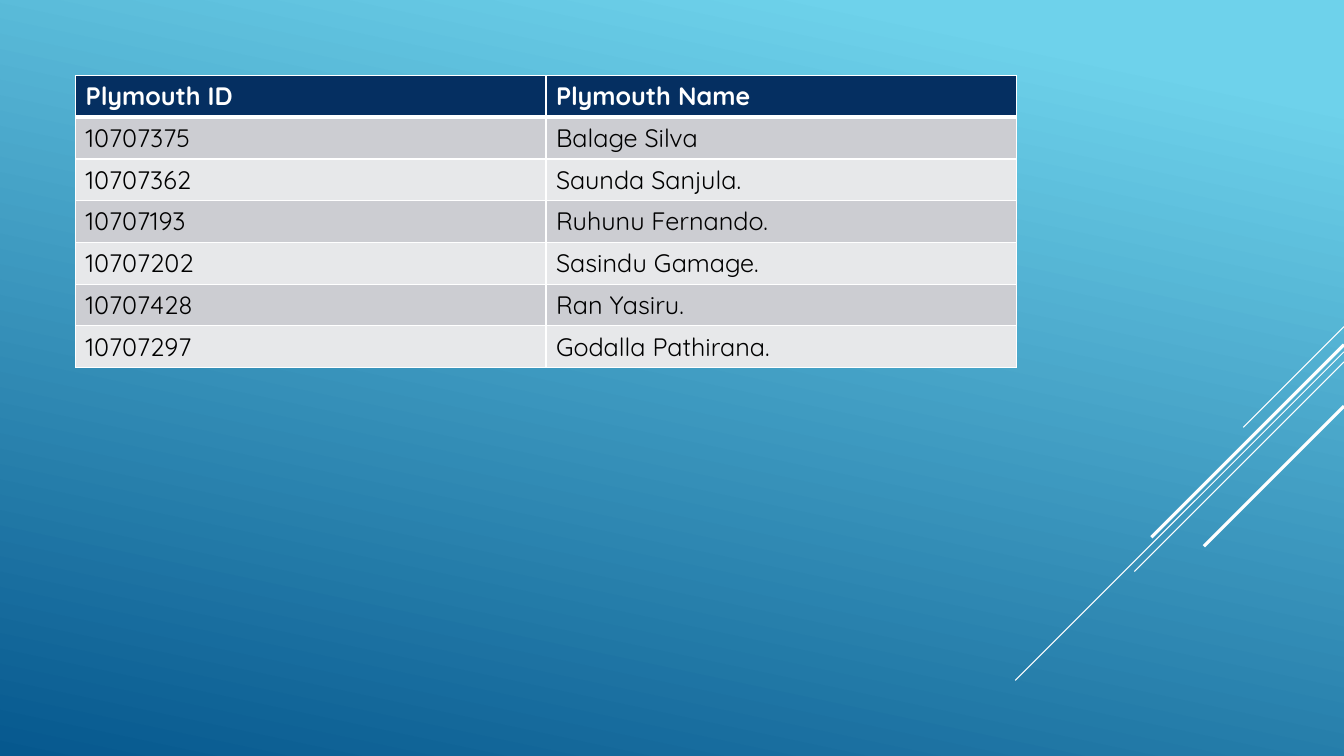
from lxml.etree import SubElement
from pptx import Presentation
from pptx.dml.color import RGBColor
from pptx.enum.shapes import MSO_CONNECTOR
from pptx.oxml.ns import qn
from pptx.util import Inches, Pt

MEMBERS = [
    ("Plymouth ID", "Plymouth Name"),
    ("10707375", "Balage Silva"),
    ("10707362", "Saunda Sanjula."),
    ("10707193", "Ruhunu Fernando."),
    ("10707202", "Sasindu Gamage."),
    ("10707428", "Ran Yasiru."),
    ("10707297", "Godalla Pathirana."),
]
# top at the right edge, diagonal run, weight
STREAKS = [
    (3.24, 1.0, 0.75),
    (3.49, 3.26, 0.75),
    (3.59, 2.08, 0.75),
    (3.42, 1.91, 2.25),
    (4.03, 1.39, 2.25),
]
COLORS = {
    "sky": "6ED2EB",
    "deep": "06588E",
    "header": "052F61",
    "odd": "CCCDD2",
    "even": "E7E8EA",
    "white": "FFFFFF",
    "black": "000000",
}
FONT = "Quicksand"
WIDTH, HEIGHT = 13.33, 7.5
TABLE_LEFT, TABLE_TOP, TABLE_WIDTH, TABLE_HEIGHT = 0.75, 0.75, 9.33, 2.84


def color(name):
    return RGBColor.from_string(COLORS[name])


def add_border(cell, side, points):
    border = SubElement(cell._tc.get_or_add_tcPr(), qn(f"a:ln{side}"), w=str(Pt(points)))
    solid = SubElement(border, qn("a:solidFill"))
    SubElement(solid, qn("a:srgbClr"), val=COLORS["white"])


def paint_background(slide):
    fill = slide.background.fill
    fill.gradient()
    fill.gradient_angle = 360 - 102
    for stop, (position, name) in zip(fill.gradient_stops, [(0.1, "sky"), (1, "deep")]):
        stop.position = position
        stop.color.rgb = color(name)


def add_streak(slide, top, run, weight):
    streak = slide.shapes.add_connector(
        MSO_CONNECTOR.STRAIGHT,
        Inches(WIDTH), Inches(top), Inches(WIDTH - run), Inches(top + run))
    streak.line.color.rgb = color("white")
    streak.line.width = Pt(weight)
    SubElement(streak._element.spPr, qn("a:effectLst"))


def add_members(slide):
    members = slide.shapes.add_table(
        len(MEMBERS), len(MEMBERS[0]), Inches(TABLE_LEFT), Inches(TABLE_TOP),
        Inches(TABLE_WIDTH), Inches(TABLE_HEIGHT)).table
    for row, entry in enumerate(MEMBERS):
        is_header = row == 0
        shade = "header" if is_header else "odd" if row % 2 else "even"
        for column, text in enumerate(entry):
            cell = members.cell(row, column)
            for side in "LRTB":
                thick = (row, side) in [(0, "B"), (1, "T")]
                add_border(cell, side, 3 if thick else 1)
            cell.fill.solid()
            cell.fill.fore_color.rgb = color(shade)
            cell.text = text
            font = cell.text_frame.paragraphs[0].font
            font.name = FONT
            font.size = Pt(18)
            font.bold = is_header
            font.color.rgb = color("white" if is_header else "black")


def main():
    deck = Presentation()
    deck.slide_width, deck.slide_height = Inches(WIDTH), Inches(HEIGHT)
    slide = deck.slides.add_slide(deck.slide_layouts[6])
    paint_background(slide)
    for streak in STREAKS:
        add_streak(slide, *streak)
    add_members(slide)
    deck.save("out.pptx")


if __name__ == "__main__":
    main()
